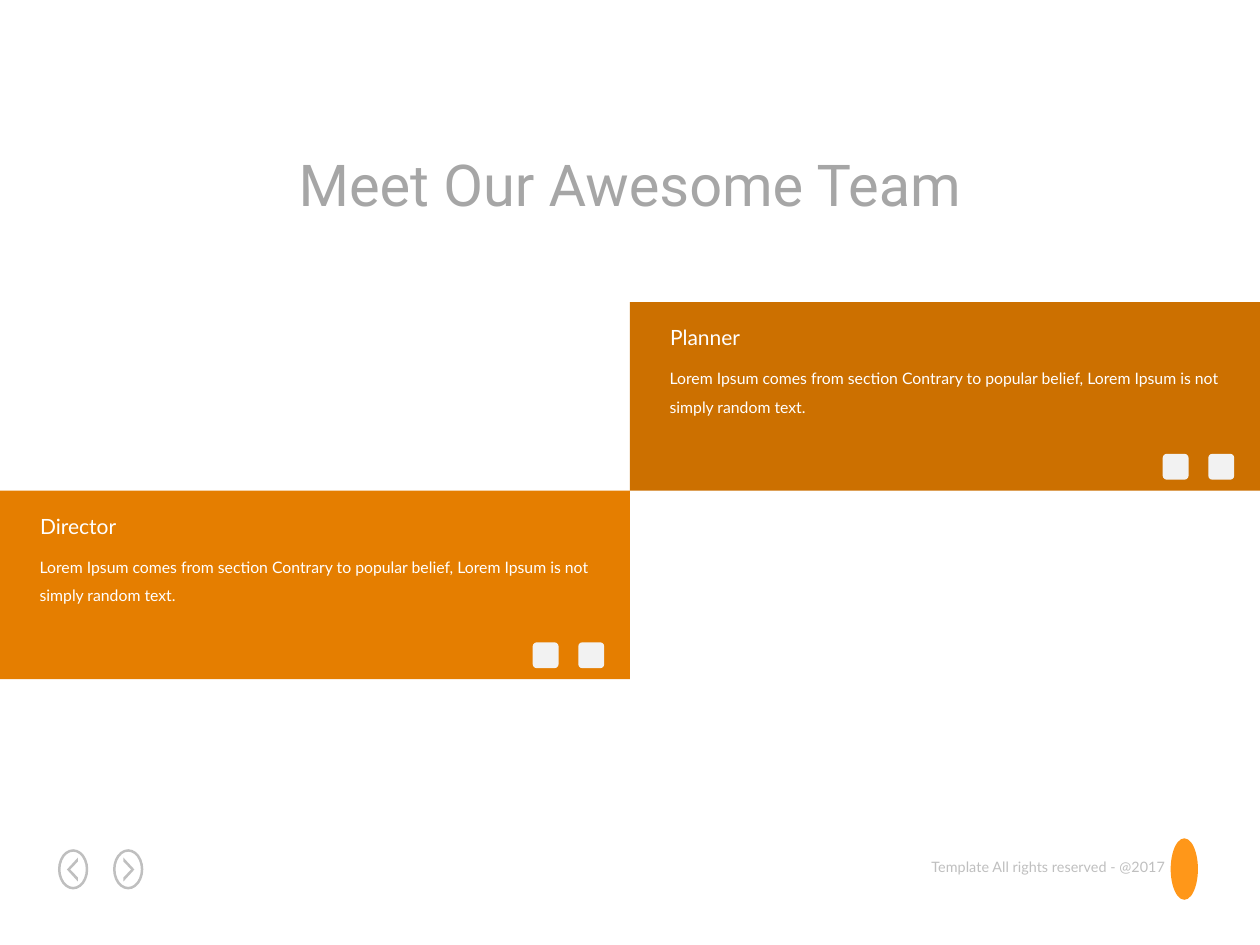
from pptx import Presentation
from pptx.dml.color import RGBColor
from pptx.enum.shapes import MSO_SHAPE
from pptx.enum.text import MSO_AUTO_SIZE, PP_ALIGN
from pptx.util import Cm, Pt

WHITE = RGBColor(0xFF, 0xFF, 0xFF)
TITLE_GRAY = RGBColor(0xA6, 0xA6, 0xA6)
FOOTER_GRAY = RGBColor(0xBF, 0xBF, 0xBF)
ICON_GRAY = RGBColor(0xF2, 0xF2, 0xF2)
ORANGE = RGBColor(0xE5, 0x7E, 0x00)
DARK_ORANGE = RGBColor(0xCC, 0x70, 0x00)
MARK_ORANGE = RGBColor(0xFF, 0x97, 0x19)

PANEL_W, PANEL_H = 12.7, 3.8
PANEL_TOP = 6.09
BIO = ("Lorem Ipsum comes from section Contrary to popular belief, "
       "Lorem Ipsum is not simply random text.")


def add_text(slide, box, text, size, color, font="Lato",
             align=PP_ALIGN.LEFT, wrap=False, spacing=None):
    tf = slide.shapes.add_textbox(*map(Cm, box)).text_frame
    tf.word_wrap = wrap
    tf.auto_size = MSO_AUTO_SIZE.SHAPE_TO_FIT_TEXT
    tf.text = text
    p = tf.paragraphs[0]
    p.alignment = align
    if spacing:
        p.line_spacing = spacing
    r = p.runs[0]
    r.font.name = font
    r.font.size = Pt(size)
    r.font.color.rgb = color


def add_filled(slide, kind, box, color):
    sp = slide.shapes.add_shape(kind, *map(Cm, box))
    sp.shadow.inherit = False
    sp.fill.solid()
    sp.fill.fore_color.rgb = color
    sp.line.fill.background()
    return sp


def add_member_panel(slide, left, top, role, color):
    add_filled(slide, MSO_SHAPE.RECTANGLE, (left, top, PANEL_W, PANEL_H), color)
    add_text(slide, (left + 0.55, top + 1.03, 11.63, 1.42), BIO, 9, WHITE,
             wrap=True, spacing=1.5)
    add_text(slide, (left + 0.56, top + 0.33, 2.6, 0.76), role, 12, WHITE,
             wrap=True)
    for x in (10.74, 11.66):
        icon = add_filled(slide, MSO_SHAPE.ROUNDED_RECTANGLE,
                          (left + x, top + 3.06, 0.52, 0.52), ICON_GRAY)
        icon.adjustments[0] = 0.15


def add_nav_button(slide, left, top, forward):
    """Ring with a chevron that points right if forward, else left."""
    w, h, stroke = 0.61, 0.81, 0.05
    ring = slide.shapes.add_shape(
        MSO_SHAPE.OVAL, Cm(left + stroke / 2), Cm(top + stroke / 2),
        Cm(w - stroke), Cm(h - stroke))
    ring.shadow.inherit = False
    ring.fill.background()
    ring.line.color.rgb = FOOTER_GRAY
    ring.line.width = Cm(stroke)

    tip, back = (0.43, 0.21) if forward else (0.18, 0.4)
    inner = tip + (back - tip) * 0.3
    outline = [(back, 0.25), (inner, 0.41), (back, 0.57),
               (back, 0.65), (tip, 0.41), (back, 0.17)]
    points = [(Cm(left + x), Cm(top + y)) for x, y in outline]
    builder = slide.shapes.build_freeform(*points[0])
    builder.add_line_segments(points[1:], close=True)
    chevron = builder.convert_to_shape()
    chevron.shadow.inherit = False
    chevron.fill.solid()
    chevron.fill.fore_color.rgb = FOOTER_GRAY
    chevron.line.fill.background()


def add_footer(slide, left, top):
    add_nav_button(slide, left, top + 0.22, forward=False)
    add_nav_button(slide, left + 1.11, top + 0.22, forward=True)
    add_text(slide, (left + 17.25, top + 0.28, 5.33, 0.61),
             "Template All rights reserved - @2017", 8.25, FOOTER_GRAY,
             align=PP_ALIGN.RIGHT)
    add_filled(slide, MSO_SHAPE.OVAL, (left + 22.43, top, 0.55, 1.24), MARK_ORANGE)


def main():
    prs = Presentation()
    prs.slide_width, prs.slide_height = Cm(25.4), Cm(19.05)
    slide = prs.slides.add_slide(prs.slide_layouts[6])
    add_footer(slide, 1.17, 16.9)
    add_text(slide, (5.65, 2.87, 14.1, 1.68), "Meet Our Awesome Team", 33,
             TITLE_GRAY, font="Roboto", align=PP_ALIGN.CENTER)
    add_member_panel(slide, 0, PANEL_TOP + PANEL_H, "Director", ORANGE)
    add_member_panel(slide, PANEL_W, PANEL_TOP, "Planner", DARK_ORANGE)
    prs.save("out.pptx")


if __name__ == "__main__":
    main()
